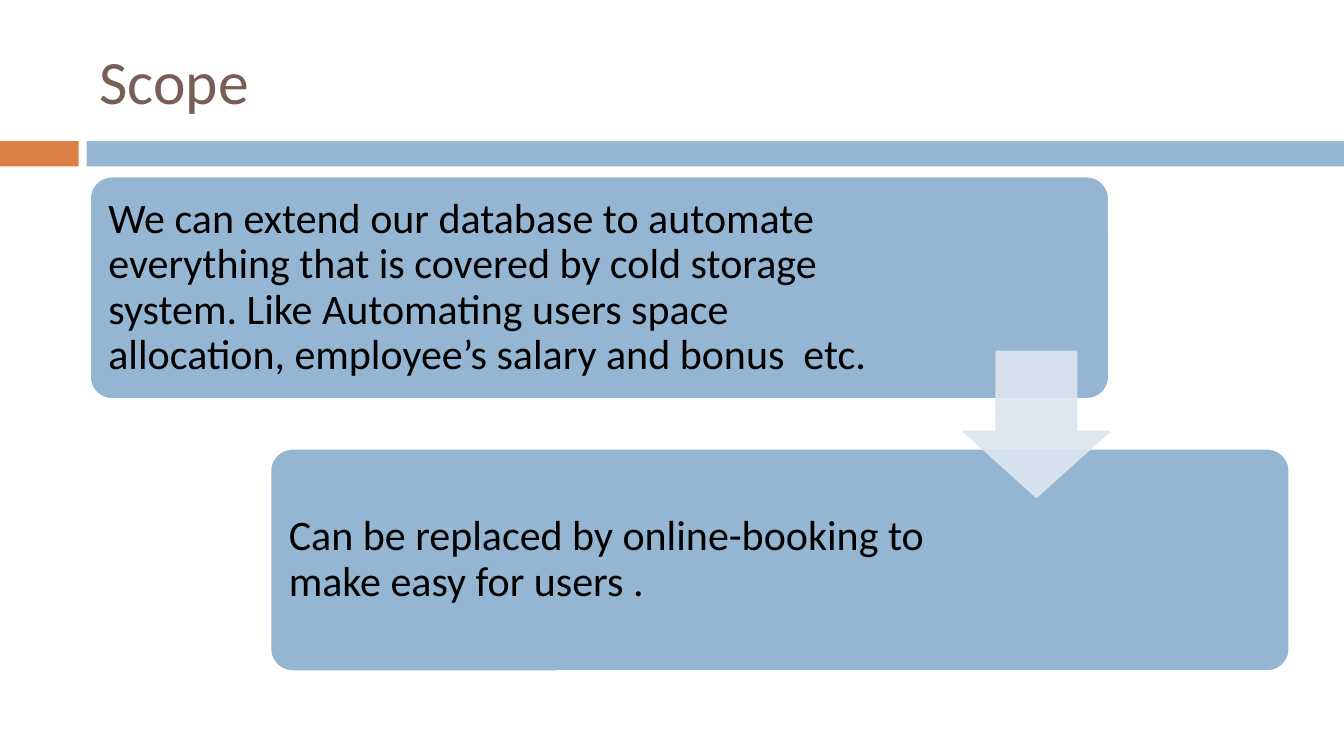
from dataclasses import dataclass

from lxml import etree
from pptx import Presentation
from pptx.dml.color import RGBColor
from pptx.enum.shapes import MSO_SHAPE
from pptx.enum.text import MSO_ANCHOR
from pptx.oxml.ns import qn
from pptx.util import Inches, Pt

RECT = MSO_SHAPE.RECTANGLE
ROUNDED = MSO_SHAPE.ROUNDED_RECTANGLE
DOWN_ARROW = MSO_SHAPE.DOWN_ARROW
MIDDLE = MSO_ANCHOR.MIDDLE


@dataclass(frozen=True)
class Theme:
    """Colours, font and type sizes of the slide."""
    orange: str = "DD8047"
    blue: str = "94B6D2"
    pale: str = "DCE5EE"
    white: str = "FFFFFF"
    brown: str = "775F55"
    black: str = "000000"
    font: str = "Calibri"
    title_size: int = 44
    body_size: int = 30
    outline: float = 1.5
    arrow_opacity: int = 90


@dataclass(frozen=True)
class Box:
    """Position and size in inches."""
    left: float
    top: float
    width: float
    height: float

    def lengths(self) -> tuple:
        """Return the four values as lengths."""
        return tuple(Inches(v) for v in (self.left, self.top, self.width, self.height))


@dataclass(frozen=True)
class Step:
    """One scope statement and the width of its text."""
    text: str
    text_width: float


THEME = Theme()
BAND_TOP, BAND_HEIGHT = 1.4, 0.25
CARD = Box(0.89, 1.75, 10.11, 2.21)
STEP_X, STEP_Y = 1.79, 2.7
CARD_PAD = 0.065
TEXT_INSET = 0.12
STEPS = [
    Step("We can extend our database to automate everything that is covered by cold "
         "storage system. Like Automating users space allocation, employee’s salary "
         "and bonus  etc.", 7.82),
    Step("Can be replaced by online-booking to make easy for users .", 6.75),
]


def add_block(s, kind, box: Box, fill: str, line: str = "", adjustments: tuple = ()):
    """Add a filled preset shape, outlined when a line colour is given."""
    sp = s.shapes.add_shape(kind, *box.lengths())
    sp.shadow.inherit = False
    for i, value in enumerate(adjustments):
        sp.adjustments[i] = value
    sp.fill.solid()
    sp.fill.fore_color.rgb = RGBColor.from_string(fill)
    if line:
        sp.line.color.rgb = RGBColor.from_string(line)
        sp.line.width = Pt(THEME.outline)
    else:
        sp.line.fill.background()
    return sp


def set_opacity(sp, percent: int) -> None:
    """Make the fill and outline of a shape partly transparent."""
    for color in sp._element.spPr.iter(qn("a:srgbClr")):
        etree.SubElement(color, qn("a:alpha"), val=str(percent * 1000))


def add_text(s, box: Box, text: str, size: int, color: str):
    """Add a wrapped, vertically centred text box and return its frame."""
    tf = s.shapes.add_textbox(*box.lengths()).text_frame
    tf.word_wrap = True
    tf.vertical_anchor = MIDDLE
    tf.text = text
    font = tf.paragraphs[0].runs[0].font
    font.name, font.size = THEME.font, Pt(size)
    font.color.rgb = RGBColor.from_string(color)
    return tf


def add_step(s, index: int, step: Step) -> None:
    """Draw one card of the staircase with its statement."""
    left, top = CARD.left + index * STEP_X, CARD.top + index * STEP_Y
    add_block(s, ROUNDED, Box(left, top, CARD.width, CARD.height),
              THEME.blue, THEME.white, (0.1,))
    text_box = Box(left + CARD_PAD, top + CARD_PAD,
                   step.text_width, CARD.height - 2 * CARD_PAD)
    tf = add_text(s, text_box, step.text, THEME.body_size, THEME.black)
    tf.margin_left = tf.margin_right = Inches(TEXT_INSET)
    tf.margin_top = tf.margin_bottom = Inches(TEXT_INSET)
    tf.paragraphs[0].line_spacing = 0.9


def main() -> None:
    """Build and save the slide."""
    prs = Presentation()
    prs.slide_width, prs.slide_height = Inches(13.33), Inches(7.5)
    s = prs.slides.add_slide(prs.slide_layouts[6])

    add_block(s, RECT, Box(0, BAND_TOP, 0.78, BAND_HEIGHT), THEME.orange)
    add_block(s, RECT, Box(0.86, BAND_TOP, 12.47, BAND_HEIGHT), THEME.blue)
    add_text(s, Box(CARD.left, 0.25, 11.89, 1.08), "Scope", THEME.title_size, THEME.brown)

    for index, step in enumerate(STEPS):
        add_step(s, index, step)

    arrow = add_block(s, DOWN_ARROW, Box(9.56, 3.49, 1.44, 1.44),
                      THEME.pale, THEME.pale, (0.55, 0.45))
    set_opacity(arrow, THEME.arrow_opacity)

    prs.save("out.pptx")


main()
